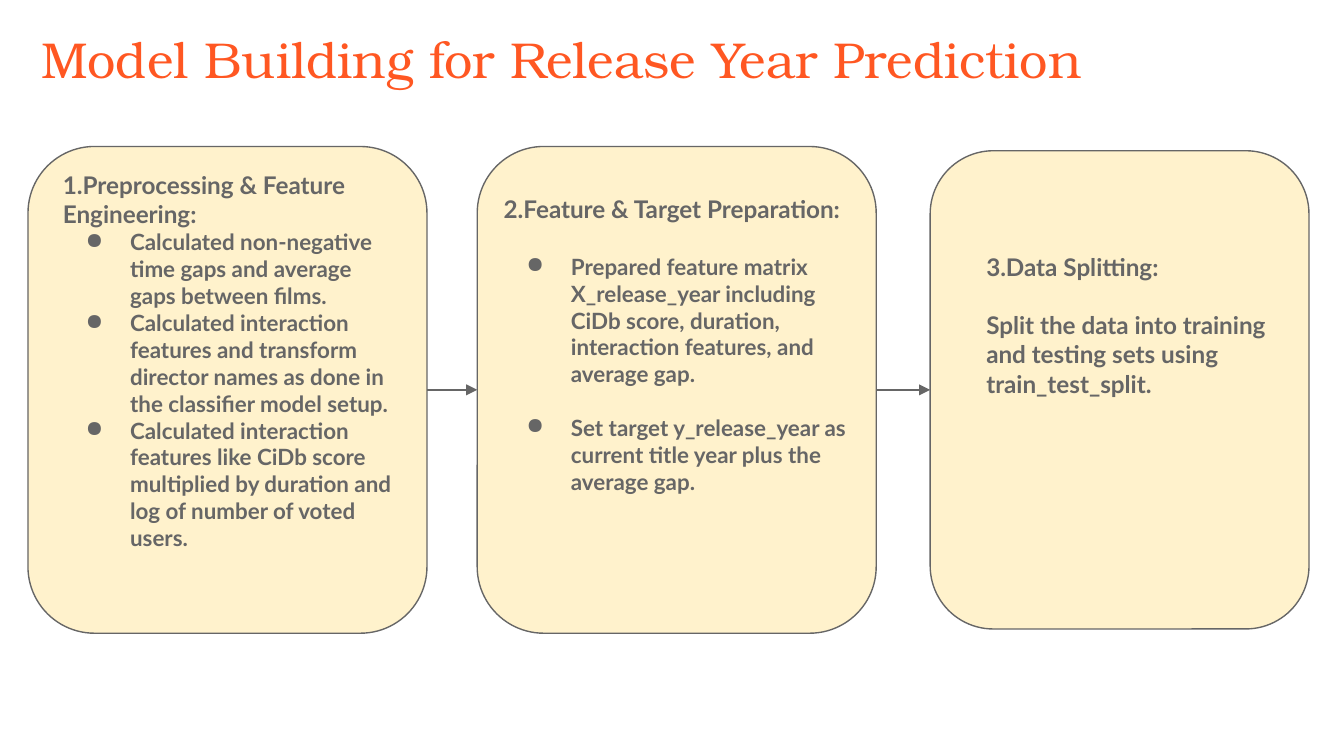
from dataclasses import dataclass
from lxml import etree
from pptx import Presentation, util as u
from pptx.dml.color import RGBColor
from pptx.enum import shapes, text
from pptx.oxml import ns


@dataclass(frozen=True)
class Theme:
    """Colours, fonts and type sizes of the slide."""
    title: str = "FF5722"
    ink: str = "666666"
    card: str = "FFF2CC"
    serif: str = "TeX Gyre Bonum"
    sans: str = "Lato"
    big: float = 27
    head: float = 13
    body: float = 12
    line: float = 0.75


class Deck:
    """Draws styled elements on the current slide."""

    def __init__(self, theme, wide, high):
        self.theme = theme
        self.prs = Presentation()
        self.prs.slide_width, self.prs.slide_height = u.Cm(wide), u.Cm(high)
        self.slide = self.prs.slides.add_slide(self.prs.slide_layouts[5])

    def run(self, para, words, font, size, color, bold=False):
        """Add one formatted run."""
        run = para.add_run()
        run.text = words
        run.font.name, run.font.size, run.font.bold = font, u.Pt(size), bold
        run.font.color.rgb = RGBColor.from_string(color)

    def frame(self, shape):
        """Set up a wrapped, top-anchored text frame."""
        frame = shape.text_frame
        frame.word_wrap = True
        frame.auto_size = text.MSO_AUTO_SIZE.NONE
        frame.vertical_anchor = text.MSO_ANCHOR.TOP
        frame.margin_left = frame.margin_right = u.Cm(0.25)
        frame.margin_top = frame.margin_bottom = u.Cm(0.25)
        return frame

    def title(self, words, x, y, w, h):
        """Place and fill the title placeholder."""
        shape, t = self.slide.shapes.title, self.theme
        shape.left, shape.top, shape.width, shape.height = map(u.Cm, (x, y, w, h))
        para = self.frame(shape).paragraphs[0]
        para.alignment = text.PP_ALIGN.LEFT
        self.run(para, words, t.serif, t.big, t.title)

    def card(self, x, y, w, h):
        """Draw a rounded card."""
        kind = shapes.MSO_SHAPE.ROUNDED_RECTANGLE
        card = self.slide.shapes.add_shape(kind, *map(u.Cm, (x, y, w, h)))
        card.shadow.inherit = False
        card.fill.solid()
        card.fill.fore_color.rgb = RGBColor.from_string(self.theme.card)
        card.line.color.rgb = RGBColor.from_string(self.theme.ink)
        card.line.width = u.Pt(self.theme.line)
        return card

    def bullet(self, para):
        """Give a paragraph a hanging bullet."""
        props = para._p.get_or_add_pPr()
        props.set("marL", str(u.Cm(1.27)))
        props.set("indent", str(u.Cm(-0.84)))
        tint = etree.SubElement(props, ns.qn("a:buClr"))
        etree.SubElement(tint, ns.qn("a:srgbClr"), val=self.theme.ink)
        etree.SubElement(props, ns.qn("a:buChar"), char="●")

    def note(self, box, head, items, gaps, dots=True):
        """Write a heading and its items, each after a gap in points."""
        t = self.theme
        frame = self.frame(self.slide.shapes.add_textbox(*map(u.Cm, box)))
        self.run(frame.paragraphs[0], head, t.sans, t.head, t.ink, True)
        for words, gap in zip(items, gaps):
            para = frame.add_paragraph()
            para.space_before = u.Pt(gap)
            if dots:
                self.bullet(para)
            size = t.body if dots else t.head
            self.run(para, words, t.sans, size, t.ink, True)

    def arrow(self, start, end):
        """Join two cards, right side to left side."""
        kind = shapes.MSO_CONNECTOR.STRAIGHT
        line = self.slide.shapes.add_connector(kind, 0, 0, 0, 0)
        line.begin_connect(start, 3)
        line.end_connect(end, 1)
        line.line.color.rgb = RGBColor.from_string(self.theme.ink)
        line.line.width = u.Pt(self.theme.line)
        etree.SubElement(line.line._get_or_add_ln(), ns.qn("a:tailEnd"), type="triangle")
        etree.SubElement(line._element.spPr, ns.qn("a:effectLst"))


def main():
    """Build the slide and save it."""
    deck = Deck(Theme(), 25.4, 14.29)
    deck.title("Model Building for Release Year Prediction", 0.53, 0.28, 23.67, 1.6)
    mid = 7.37
    sizes = [(0.53, 7.54, 9.2), (9.02, 7.54, 9.2), (17.58, 7.16, 9.04)]
    cards = [deck.card(x, mid - h / 2, w, h) for x, w, h in sizes]
    deck.note((0.94, 2.97, 6.81, 8.64), "1.Preprocessing & Feature Engineering:", [
        "Calculated non-negative time gaps and average gaps between films.",
        "Calculated interaction features and transform director names as done in "
        "the classifier model setup.",
        "Calculated interaction features like CiDb score multiplied by duration "
        "and log of number of voted users.",
    ], (0, 0, 0))
    deck.note((9.27, 3.43, 7.16, 6.6), "2.Feature & Target Preparation:", [
        "Prepared feature matrix X_release_year including CiDb score, duration, "
        "interaction features, and average gap.",
        "Set target y_release_year as current title year plus the average gap.",
    ], (15.6, 14.4))
    deck.note((18.39, 4.52, 6.15, 4.42), "3.Data Splitting:", [
        "Split the data into training and testing sets using train_test_split.",
    ], (15.6,), dots=False)
    for start, end in zip(cards, cards[1:]):
        deck.arrow(start, end)
    deck.prs.save("out.pptx")


if __name__ == "__main__":
    main()
